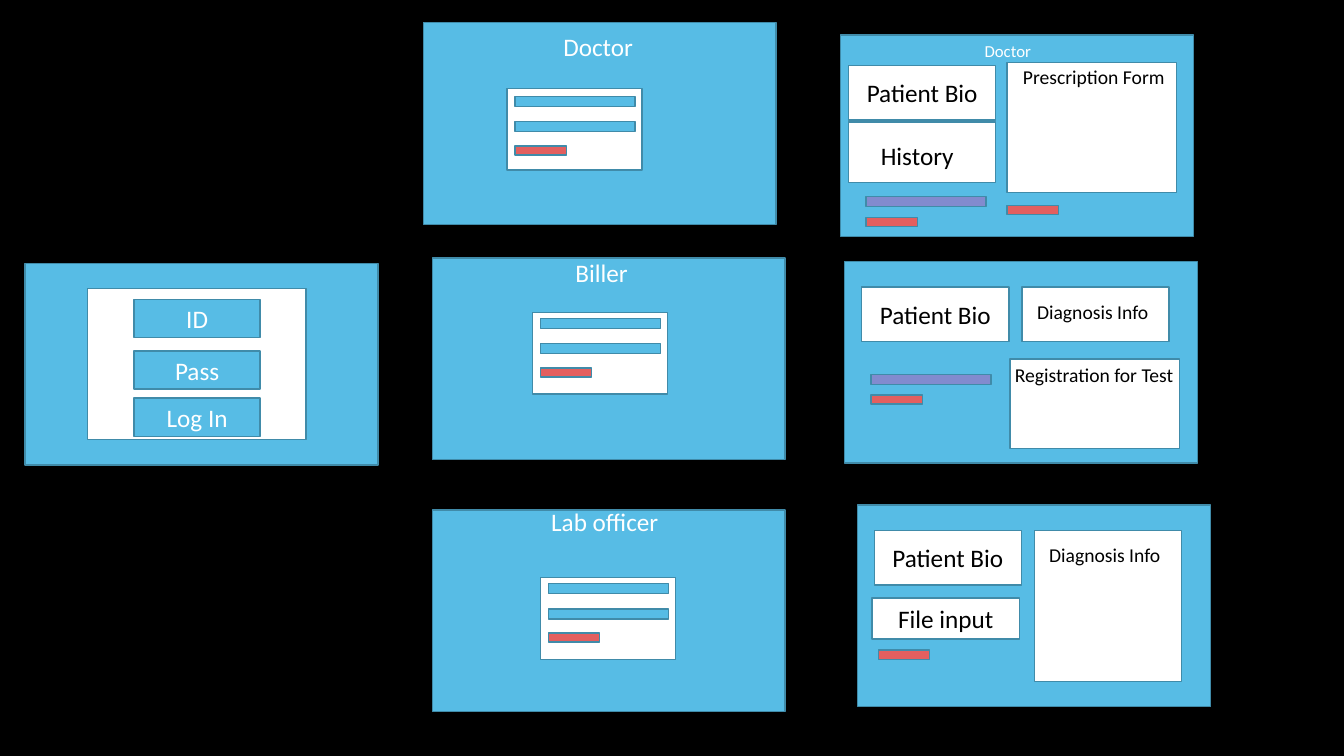
import dataclasses
import typing

import pptx
import pptx.dml.color
import pptx.enum.shapes
import pptx.enum.text
import pptx.util

COLORS: dict[str, str] = {
    "background": "000000",
    "panel": "57BCE5",
    "outline": "408BA9",
    "card": "FFFFFF",
    "light": "FFFFFF",
    "dark": "000000",
    "button": "E35F5F",
    "field": "828BCE",
}
FONT = "Calibri"


class Size(typing.NamedTuple):
    width: float
    height: float


PANEL = Size(252, 144)
LOGIN_CARD = Size(156, 108)
LOGIN_FIELD = Size(90, 27.4)
SMALL_CARD = Size(96.5, 58.3)
BAR = Size(85.7, 7.2)
BUTTON = Size(36.7, 6.5)
INFO_CARD = Size(105.1, 38.9)


@dataclasses.dataclass
class Box:
    left: float
    top: float
    size: Size
    fill: str
    text: str = ""
    color: str = "dark"


@dataclasses.dataclass
class Label:
    left: float
    top: float
    size: Size
    text: str
    points: float
    color: str
    wrap: bool = True


@dataclasses.dataclass
class SignIn:
    panel_left: float
    panel_top: float
    card_left: float
    card_top: float
    padding_top: float


SIGN_INS = [
    SignIn(302.4, 16.3, 362.2, 63.2, 5.8),
    SignIn(308.9, 184.3, 380.2, 223.2, 4.3),
    SignIn(308.9, 364.3, 385.9, 412.6, 4.3),
]

LOGIN_BOXES = [
    Box(18, 188.2, PANEL, "panel"),
    Box(62.6, 206.2, LOGIN_CARD, "card"),
    Box(95.8, 213.8, LOGIN_FIELD, "panel", "ID", "light"),
    Box(95.8, 250.6, LOGIN_FIELD, "panel", "Pass", "light"),
    Box(95.8, 284.4, LOGIN_FIELD, "panel", "Log In", "light"),
]

DOCTOR_BOXES = [
    Box(600.5, 25, PANEL, "panel"),
    Box(606.2, 87.1, Size(105.1, 43.2), "card"),
    Box(719.3, 44.6, Size(121, 92.9), "card"),
    Box(618.5, 140.4, BAR, "field"),
    Box(618.5, 155.5, BUTTON, "button"),
    Box(719.3, 146.9, BUTTON, "button"),
    Box(606.2, 46.8, INFO_CARD, "card", "Patient Bio"),
]

BILLER_BOXES = [
    Box(603.4, 186.8, PANEL, "panel"),
    Box(615.6, 205, INFO_CARD, "card", "Patient Bio"),
    Box(730.1, 205, INFO_CARD, "card"),
    Box(622.1, 267.5, BAR, "field"),
    Box(622.1, 282.2, BUTTON, "button"),
    Box(721.4, 256.3, Size(121, 64.1), "card"),
]

LAB_BOXES = [
    Box(612.7, 360.7, PANEL, "panel"),
    Box(624.5, 378.9, INFO_CARD, "card", "Patient Bio"),
    Box(739, 378.9, Size(105.1, 108), "card"),
    Box(623, 427, Size(105.1, 29.5), "card", "File input"),
    Box(627.3, 464.4, BUTTON, "button"),
]

LABELS = [
    Label(395.3, 21.6, Size(66.2, 26.6), "Doctor", 18, "light", False),
    Label(403.9, 182.9, Size(67, 26.6), "Biller", 18, "light"),
    Label(386.6, 360.7, Size(99.4, 26.6), "Lab officer", 18, "light"),
    Label(696.2, 27.4, Size(49, 20.2), "Doctor", 12, "light", False),
    Label(622.1, 99.4, Size(84.2, 26.6), "History", 18, "dark"),
    Label(723.6, 44.6, Size(131.8, 22.3), "Prescription Form", 14, "dark"),
    Label(733.7, 212.4, Size(131.8, 22.3), "Diagnosis Info", 14, "dark"),
    Label(717.8, 257.8, Size(138.2, 22.3), "Registration for Test", 14, "dark"),
    Label(742.3, 385.9, Size(131.8, 22.3), "Diagnosis Info", 14, "dark"),
]


def rgb(name: str) -> pptx.dml.color.RGBColor:
    return pptx.dml.color.RGBColor.from_string(COLORS[name])


def place(item: Box | Label) -> list[pptx.util.Length]:
    return [pptx.util.Pt(value) for value in (item.left, item.top, *item.size)]


def add_text(paragraph: typing.Any, text: str, points: float, color: str) -> None:
    run = paragraph.add_run()
    run.text = text
    run.font.name = FONT
    run.font.size = pptx.util.Pt(points)
    run.font.color.rgb = rgb(color)


def draw_box(slide: typing.Any, box: Box) -> None:
    shape = slide.shapes.add_shape(pptx.enum.shapes.MSO_SHAPE.RECTANGLE, *place(box))
    shape.shadow.inherit = False
    shape.fill.solid()
    shape.fill.fore_color.rgb = rgb(box.fill)
    shape.line.color.rgb = rgb("outline")
    shape.line.width = pptx.util.Pt(1)
    if box.text:
        shape.text_frame.vertical_anchor = pptx.enum.text.MSO_ANCHOR.MIDDLE
        paragraph = shape.text_frame.paragraphs[0]
        paragraph.alignment = pptx.enum.text.PP_ALIGN.CENTER
        add_text(paragraph, box.text, 18, box.color)


def draw_label(slide: typing.Any, label: Label) -> None:
    frame = slide.shapes.add_textbox(*place(label)).text_frame
    frame.word_wrap = label.wrap
    frame.auto_size = pptx.enum.text.MSO_AUTO_SIZE.SHAPE_TO_FIT_TEXT
    paragraph = frame.paragraphs[0]
    paragraph.line_spacing = 0.9
    add_text(paragraph, label.text, label.points, label.color)


def sign_in_boxes(form: SignIn) -> list[Box]:
    left = form.card_left + 5.8
    top = form.card_top + form.padding_top
    return [
        Box(form.panel_left, form.panel_top, PANEL, "panel"),
        Box(form.card_left, form.card_top, SMALL_CARD, "card"),
        Box(left, top, BAR, "panel"),
        Box(left, top + 18, BAR, "panel"),
        Box(left, top + 35.3, BUTTON, "button"),
    ]


def main() -> None:
    presentation = pptx.Presentation()
    presentation.slide_width = pptx.util.Pt(960)
    presentation.slide_height = pptx.util.Pt(540)
    slide = presentation.slides.add_slide(presentation.slide_layouts.get_by_name("Blank"))
    slide.background.fill.solid()
    slide.background.fill.fore_color.rgb = rgb("background")
    sign_ins = [box for form in SIGN_INS for box in sign_in_boxes(form)]
    for box in LOGIN_BOXES + sign_ins + DOCTOR_BOXES + BILLER_BOXES + LAB_BOXES:
        draw_box(slide, box)
    for label in LABELS:
        draw_label(slide, label)
    presentation.save("out.pptx")


if __name__ == "__main__":
    main()
